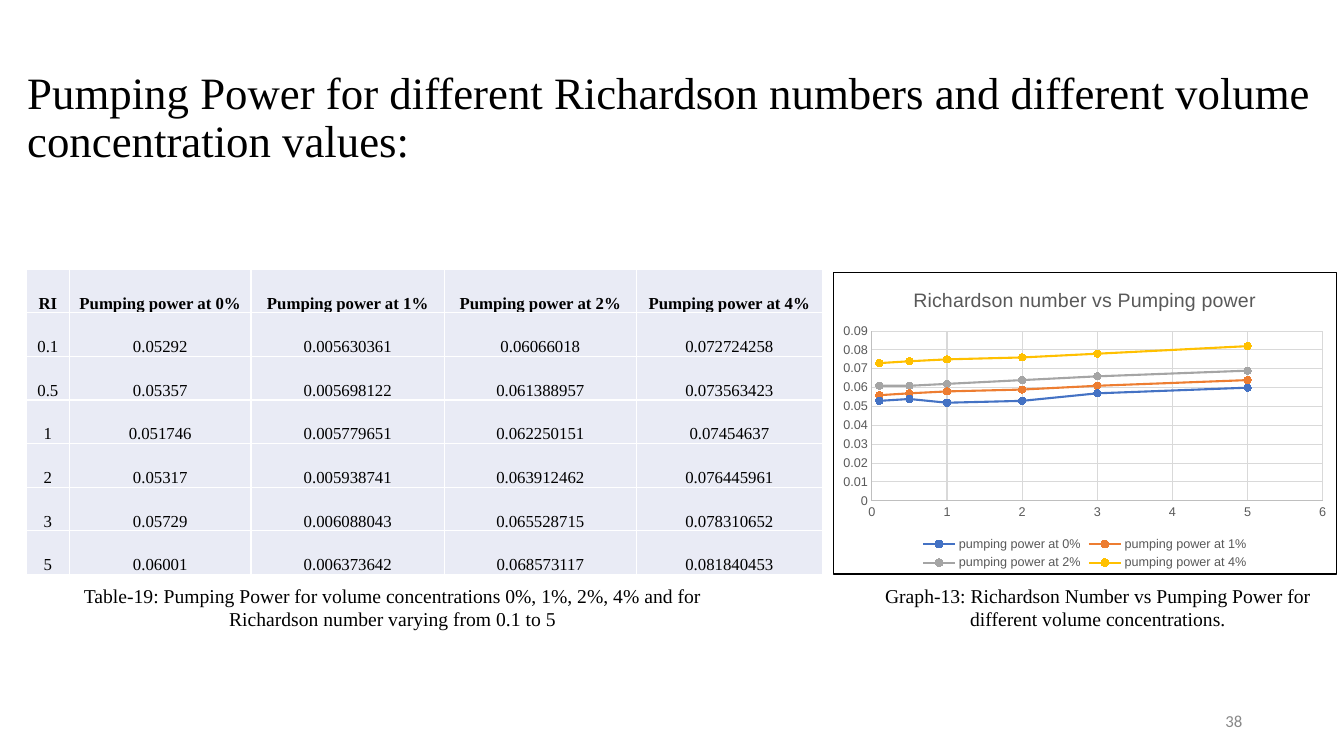
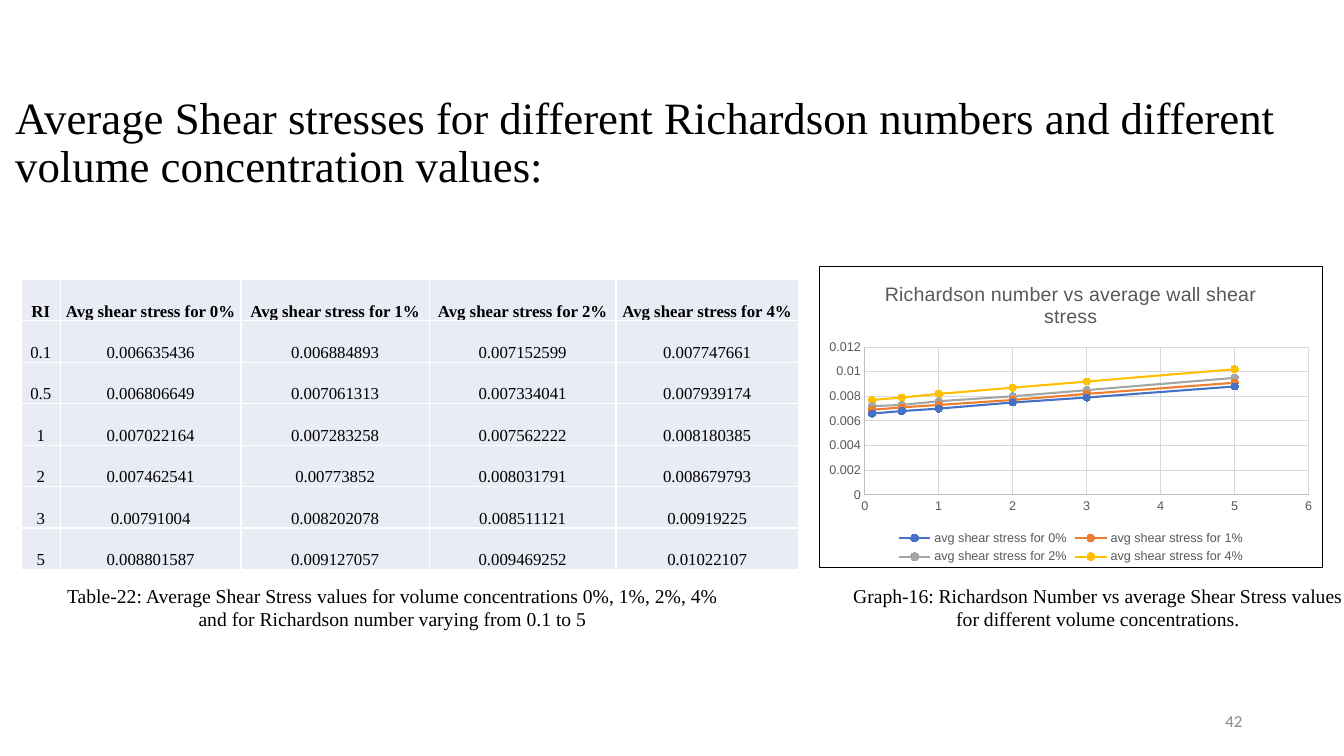
from lxml.etree import SubElement
from pptx import Presentation
from pptx.chart.data import XyChartData
from pptx.dml.color import RGBColor
from pptx.enum.chart import XL_CHART_TYPE as ChartType
from pptx.enum.chart import XL_LEGEND_POSITION as LegendPosition
from pptx.enum.chart import XL_MARKER_STYLE as MarkerStyle
from pptx.enum.chart import XL_TICK_MARK as TickMark
from pptx.enum.text import MSO_ANCHOR as Anchor
from pptx.enum.text import MSO_AUTO_SIZE as AutoSize
from pptx.enum.text import PP_ALIGN as Align
from pptx.oxml import parse_xml
from pptx.oxml.ns import nsdecls, qn
from pptx.util import Inches, Pt

# Shared look
COLORS = {
    "text": "000000", "page_number": "888888", "cell": "E9EBF5",
    "cell_border": "FFFFFF", "chart_text": "595959", "axis": "BFBFBF",
    "grid": "D9D9D9", "chart_border": "000000",
    "0%": "4472C4", "1%": "ED7D31", "2%": "A5A5A5", "4%": "FFC000",
}
SERIF = "Times New Roman"
TITLE_FONT = {"name": SERIF, "size": Pt(32), "bold": False}
CELL_FONT = {"name": SERIF, "size": Pt(12)}
CAPTION_FONT = {"name": SERIF, "size": Pt(14)}
NUMBER_FONT = {"name": "Calibri", "size": Pt(12)}
CHART_TITLE_FONT = {"name": "Arial", "size": Pt(14), "bold": False}
CHART_FONT = {"name": "Arial", "size": Pt(9), "bold": False}
CELL_MARGINS = {"margin_left": Inches(0.01), "margin_right": Inches(0.01),
                "margin_top": Inches(0.01), "margin_bottom": 0}
TABLE_CAPTION_AREA = (0.56, 5.74, 6.67, 0.57)
GRAPH_CAPTION_AREA = (8.33, 5.74, 5.12, 0.57)
NUMBER_AREA = (9.42, 6.95, 3, 0.4)

CONCENTRATIONS = ("0%", "1%", "2%", "4%")
RICHARDSON = ("0.1", "0.5", "1", "2", "3", "5")

# Slide content: one row of readings for each Richardson number
PUMPING_POWER = {
    "title": "Pumping Power for different Richardson numbers and different "
             "volume concentration values:",
    "title_area": (0.17, 0.55, 13.08, 1.26),
    "number": "38",
    "table_area": (0.26, 2.67, 7.9, 3.03),
    "columns": (0.43, 1.8, 1.92, 1.9, 1.85),
    "heading": "Pumping power at ",
    "readings": (
        ("0.05292", "0.005630361", "0.06066018", "0.072724258"),
        ("0.05357", "0.005698122", "0.061388957", "0.073563423"),
        ("0.051746", "0.005779651", "0.062250151", "0.07454637"),
        ("0.05317", "0.005938741", "0.063912462", "0.076445961"),
        ("0.05729", "0.006088043", "0.065528715", "0.078310652"),
        ("0.06001", "0.006373642", "0.068573117", "0.081840453"),
    ),
    "table_caption": "Table-19: Pumping Power for volume concentrations 0%, 1%, "
                     "2%, 4% and for Richardson number varying from 0.1 to 5",
    "chart_area": (8.26, 2.7, 5, 3),
    "chart_title": "Richardson number vs Pumping power",
    "series": "pumping power at ",
    "plot_factors": (1, 10, 1, 1),
    "digits": 3,
    "value_scale": (0.09, 0.01),
    "graph_caption": "Graph-13: Richardson Number vs Pumping Power for different "
                     "volume concentrations.",
}
SHEAR_STRESS = {
    "title": "Average Shear stresses for different Richardson numbers and "
             "different volume concentration values:",
    "title_area": (0.05, 0.73, 13.07, 1.4),
    "number": "42",
    "table_area": (0.21, 2.77, 7.71, 2.88),
    "columns": (0.39, 1.79, 1.87, 1.85, 1.81),
    "heading": "Avg shear stress for ",
    "readings": (
        ("0.006635436", "0.006884893", "0.007152599", "0.007747661"),
        ("0.006806649", "0.007061313", "0.007334041", "0.007939174"),
        ("0.007022164", "0.007283258", "0.007562222", "0.008180385"),
        ("0.007462541", "0.00773852", "0.008031791", "0.008679793"),
        ("0.00791004", "0.008202078", "0.008511121", "0.00919225"),
        ("0.008801587", "0.009127057", "0.009469252", "0.01022107"),
    ),
    "table_caption": "Table-22: Average Shear Stress values for volume "
                     "concentrations 0%, 1%, 2%, 4% and for Richardson number "
                     "varying from 0.1 to 5",
    "chart_area": (8.12, 2.64, 5, 3),
    "chart_title": "Richardson number vs average wall shear stress",
    "series": "avg shear stress for ",
    "plot_factors": (1, 1, 1, 1),
    "digits": 4,
    "value_scale": (0.012, 0.002),
    "graph_caption": "Graph-16: Richardson Number vs average Shear Stress values "
                     "for different volume concentrations.",
}


def rgb(name):
    return RGBColor.from_string(COLORS[name])


def inches(area):
    return [Inches(length) for length in area]


def set_attributes(target, values):
    for name, value in values.items():
        setattr(target, name, value)


def format_font(font, values, color):
    set_attributes(font, values)
    font.color.rgb = rgb(color)


def format_line(line, color, width):
    line.color.rgb = rgb(color)
    line.width = Pt(width)


def write_text(frame, text, font, color="text", align=Align.LEFT):
    para = frame.paragraphs[0]
    para.alignment = align
    span = para.add_run()
    span.text = text
    format_font(span.font, font, color)
    return para


# Text
def add_title(page, text, area):
    title = page.shapes.title
    title.left, title.top, title.width, title.height = inches(area)
    frame = title.text_frame
    set_attributes(frame, {"word_wrap": True, "auto_size": AutoSize.NONE,
                           "vertical_anchor": Anchor.MIDDLE})
    write_text(frame, text, TITLE_FONT).line_spacing = 0.9


def add_caption(page, text, area):
    frame = page.shapes.add_textbox(*inches(area)).text_frame
    set_attributes(frame, {"word_wrap": True,
                           "auto_size": AutoSize.SHAPE_TO_FIT_TEXT})
    write_text(frame, text, CAPTION_FONT, align=Align.CENTER)


def add_page_number(page, number):
    frame = page.shapes.add_textbox(*inches(NUMBER_AREA)).text_frame
    set_attributes(frame, {"word_wrap": True, "vertical_anchor": Anchor.MIDDLE})
    write_text(frame, number, NUMBER_FONT, "page_number", Align.RIGHT)


# Table
def add_cell_borders(cell):
    properties = cell._tc.get_or_add_tcPr()
    for index, side in enumerate(("lnL", "lnR", "lnT", "lnB")):
        properties.insert(index, parse_xml(
            f'<a:{side} {nsdecls("a")} w="12700"><a:solidFill>'
            f'<a:srgbClr val="{COLORS["cell_border"]}"/></a:solidFill></a:{side}>'))


def fill_cell(cell, text, bold):
    set_attributes(cell, CELL_MARGINS)
    cell.vertical_anchor = Anchor.BOTTOM
    cell.fill.solid()
    cell.fill.fore_color.rgb = rgb("cell")
    add_cell_borders(cell)
    write_text(cell.text_frame, text, {**CELL_FONT, "bold": bold},
               align=Align.CENTER)


def add_readings_table(page, content):
    header = ("RI", *(content["heading"] + share for share in CONCENTRATIONS))
    rows = [header]
    rows += [(ri, *values) for ri, values in zip(RICHARDSON, content["readings"])]
    area = inches(content["table_area"])
    table = page.shapes.add_table(len(rows), len(header), *area).table
    set_attributes(table, {"first_row": False, "horz_banding": False})
    for column, width in zip(table.columns, content["columns"]):
        column.width = Inches(width)
    for row_index, row in enumerate(rows):
        for column_index, text in enumerate(row):
            fill_cell(table.cell(row_index, column_index), text, row_index == 0)


# Chart
def build_chart_data(content):
    data = XyChartData()
    columns = zip(*content["readings"])
    for share, factor, values in zip(CONCENTRATIONS, content["plot_factors"], columns):
        series = data.add_series(content["series"] + share)
        for ri, value in zip(RICHARDSON, values):
            series.add_data_point(
                float(ri), round(float(value) * factor, content["digits"]))
    return data


def format_axis(axis, maximum, unit):
    set_attributes(axis, {
        "minimum_scale": 0, "maximum_scale": maximum, "major_unit": unit,
        "has_major_gridlines": True, "has_minor_gridlines": False,
        "major_tick_mark": TickMark.NONE, "minor_tick_mark": TickMark.NONE})
    set_attributes(axis.tick_labels, {"number_format": "General",
                                      "number_format_is_linked": False})
    format_font(axis.tick_labels.font, CHART_FONT, "chart_text")
    format_line(axis.format.line, "axis", 0.75)
    format_line(axis.major_gridlines.format.line, "grid", 0.75)


def format_series(series, color):
    series.smooth = True
    format_line(series.format.line, color, 1.5)
    marker = series.marker
    set_attributes(marker, {"style": MarkerStyle.CIRCLE, "size": 5})
    marker.format.fill.solid()
    marker.format.fill.fore_color.rgb = rgb(color)
    format_line(marker.format.line, color, 0.75)


def add_chart_border(chart):
    border = parse_xml(f'<c:spPr {nsdecls("c", "a")}><a:noFill/></c:spPr>')
    line = SubElement(border, qn("a:ln"), w="9525")
    fill = SubElement(line, qn("a:solidFill"))
    SubElement(fill, qn("a:srgbClr"), val=COLORS["chart_border"])
    chart.element.find(qn("c:chart")).addnext(border)


def add_scatter_chart(page, content):
    chart = page.shapes.add_chart(
        ChartType.XY_SCATTER_SMOOTH, *inches(content["chart_area"]),
        build_chart_data(content)).chart
    format_font(chart.font, {"name": "Arial", "size": Pt(10)}, "text")
    add_chart_border(chart)
    chart.has_title = True
    chart.chart_title.include_in_layout = False
    write_text(chart.chart_title.text_frame, content["chart_title"],
               CHART_TITLE_FONT, "chart_text", Align.CENTER)
    chart.has_legend = True
    set_attributes(chart.legend, {"position": LegendPosition.BOTTOM,
                                  "include_in_layout": False})
    format_font(chart.legend.font, CHART_FONT, "chart_text")
    format_axis(chart.category_axis, 6, 1)
    format_axis(chart.value_axis, *content["value_scale"])
    plot = chart.plots[0]
    plot.vary_by_categories = False
    for series, share in zip(plot.series, CONCENTRATIONS):
        format_series(series, share)


def add_results_page(deck, content):
    page = deck.slides.add_slide(deck.slide_layouts.get_by_name("Title Only"))
    add_title(page, content["title"], content["title_area"])
    add_page_number(page, content["number"])
    add_readings_table(page, content)
    add_caption(page, content["table_caption"], TABLE_CAPTION_AREA)
    add_caption(page, content["graph_caption"], GRAPH_CAPTION_AREA)
    add_scatter_chart(page, content)


def main():
    deck = Presentation()
    deck.slide_width, deck.slide_height = Inches(13.33), Inches(7.5)
    for content in (PUMPING_POWER, SHEAR_STRESS):
        add_results_page(deck, content)
    deck.save("out.pptx")


if __name__ == "__main__":
    main()
